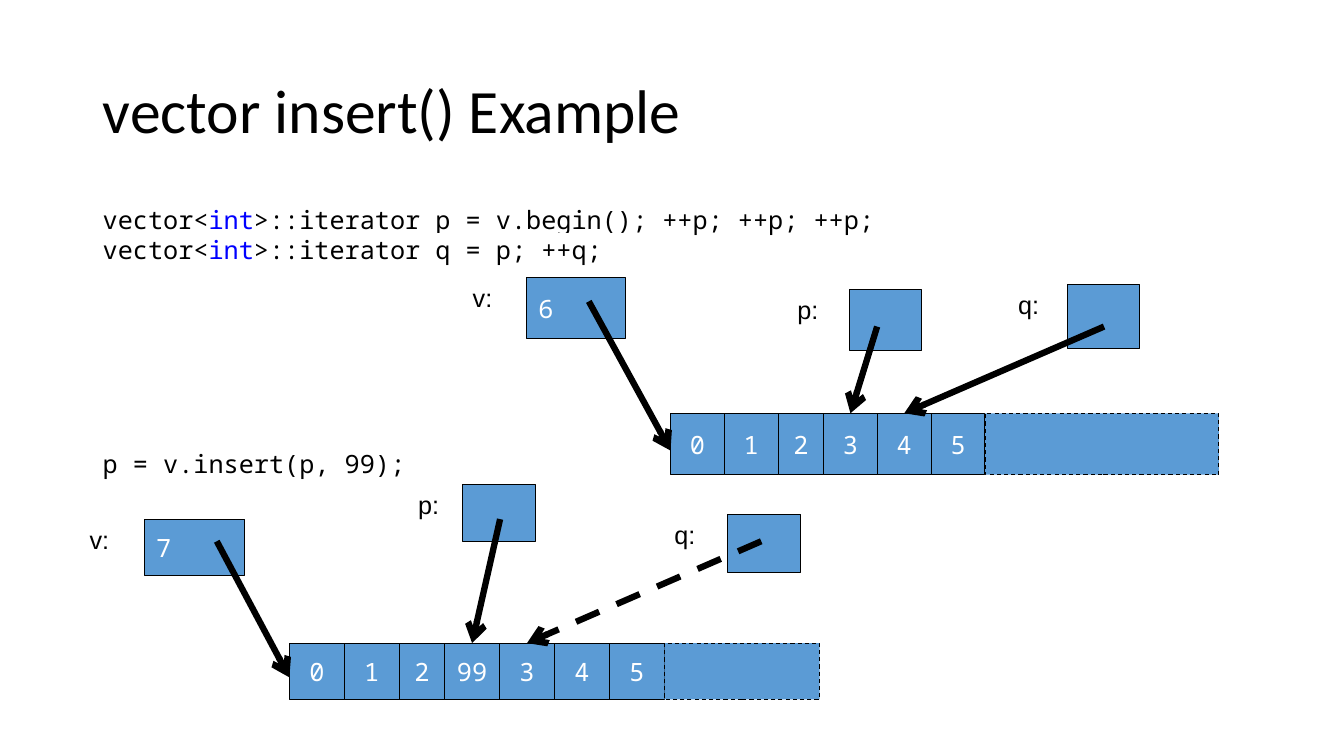
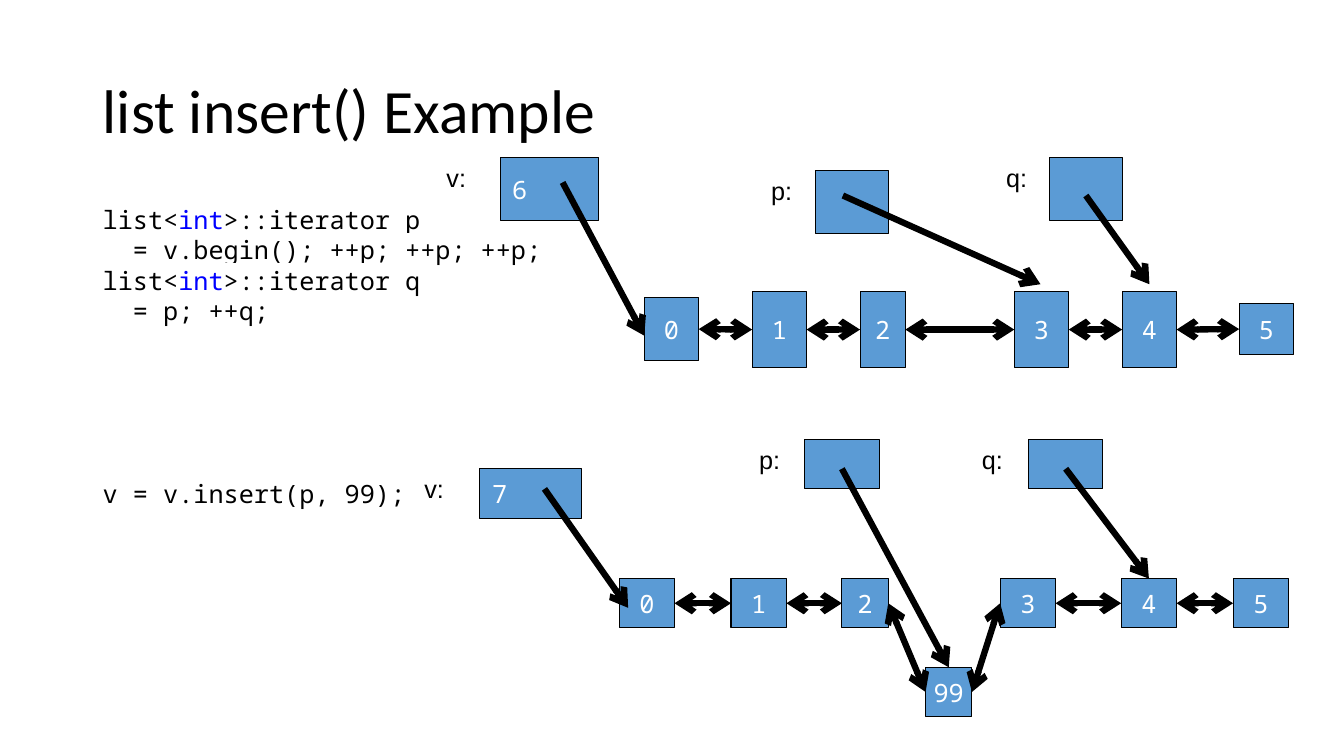
"""Build two slides comparing insert() on a vector and on a list."""
from dataclasses import dataclass

from lxml import etree
from pptx import Presentation
from pptx import util as u
from pptx.dml.color import RGBColor
from pptx.enum import dml, shapes, text
from pptx.oxml import ns

COLORS = {"ink": "000000", "paper": "FFFFFF", "box": "5B9BD5", "keyword": "0000FF"}
TITLE_FONT, CODE_FONT, LABEL_FONT = "Calibri", "Noto Sans Mono", "Arial"
BODY_SIZE = 18
CODE_LINE_HEIGHT = 21.8
NARROW_CELL = 0.45
LABEL_WIDTH, LABEL_HEIGHT = 0.6, 0.6

Point = tuple[float, float]


@dataclass(frozen=True)
class CodeLine:
    text: str
    indent: float = 0
    lines_before: int = 0


@dataclass(frozen=True)
class Cell:
    text: str
    left: float
    top: float
    width: float
    height: float
    dashed: bool = False


@dataclass(frozen=True)
class Variable:
    name: str
    label_left: float
    left: float
    top: float
    width: float
    height: float
    arrow_start: Point
    target: str | Point
    count: str = ""
    dashed: bool = False


@dataclass(frozen=True)
class Diagram:
    cells: list[Cell]
    variables: list[Variable]
    links: tuple[str, ...] = ()


@dataclass(frozen=True)
class Page:
    title: str
    code_width: float
    code_height: float
    code: list[CodeLine]
    diagrams: list[Diagram]


def array_cells(values: list[str], left: float, spare_left: float, top: float,
                height: float, spare_width: float) -> list[Cell]:
    wide = (spare_left - left - NARROW_CELL) / (len(values) - 1)
    cells = []
    for value in values:
        width = NARROW_CELL if value == "2" else wide
        cells.append(Cell(value, left, top, width, height))
        left += width
    return cells + [Cell("", spare_left, top, spare_width, height, True)]


def color(name: str) -> RGBColor:
    return RGBColor.from_string(COLORS[name])


def add_run(paragraph, content: str, font: str, size: float, ink: str = "ink",
            highlight: bool = False) -> None:
    run = paragraph.add_run()
    run.text = content
    run.font.size = u.Pt(size)
    run.font.color.rgb = color(ink)
    if highlight:
        mark = etree.SubElement(run.font._element, ns.qn("a:highlight"))
        etree.SubElement(mark, ns.qn("a:srgbClr"), val=COLORS["paper"])
    run.font.name = font


def add_title(slide, content: str) -> None:
    title = slide.shapes.title
    title.left, title.top = u.Inches(0.92), u.Inches(0.4)
    title.width, title.height = u.Inches(11.5), u.Inches(1.45)
    title.text_frame.vertical_anchor = text.MSO_ANCHOR.MIDDLE
    paragraph = title.text_frame.paragraphs[0]
    paragraph.alignment = text.PP_ALIGN.LEFT
    paragraph.line_spacing = 0.9
    add_run(paragraph, content, TITLE_FONT, 44)


def add_code(slide, page: Page) -> None:
    box = slide.shapes.add_textbox(u.Inches(0.92), u.Inches(1.98),
                                   u.Inches(page.code_width), u.Inches(page.code_height))
    frame = box.text_frame
    frame.word_wrap = False
    for index, line in enumerate(page.code):
        paragraph = frame.add_paragraph() if index else frame.paragraphs[0]
        if line.indent:
            paragraph._p.get_or_add_pPr().set("marL", str(u.Inches(line.indent)))
        if line.lines_before:
            paragraph.space_before = u.Pt(line.lines_before * CODE_LINE_HEIGHT)
        before, keyword, after = line.text.partition("int")
        for content, ink in ((before, "ink"), (keyword, "keyword"), (after, "ink")):
            if content:
                add_run(paragraph, content, CODE_FONT, BODY_SIZE, ink, True)


def add_cell(slide, cell: Cell, left_inset: float = 0):
    shape = slide.shapes.add_shape(
        shapes.MSO_SHAPE.RECTANGLE, u.Inches(cell.left), u.Inches(cell.top),
        u.Inches(cell.width), u.Inches(cell.height))
    shape.shadow.inherit = False
    shape.fill.solid()
    shape.fill.fore_color.rgb = color("box")
    shape.line.color.rgb = color("ink")
    shape.line.width = u.Pt(0.75)
    if cell.dashed:
        shape.line.dash_style = dml.MSO_LINE.DASH
    if cell.text:
        frame = shape.text_frame
        frame.word_wrap = True
        frame.vertical_anchor = text.MSO_ANCHOR.MIDDLE
        frame.margin_left, frame.margin_right = u.Inches(left_inset), 0
        paragraph = frame.paragraphs[0]
        paragraph.alignment = text.PP_ALIGN.LEFT if left_inset else text.PP_ALIGN.CENTER
        add_run(paragraph, cell.text, CODE_FONT, BODY_SIZE, "paper")
    return shape


def add_arrow(slide, start: Point = (0, 0), end: Point = (0, 0),
              both_ends: bool = False, dashed: bool = False):
    arrow = slide.shapes.add_connector(
        shapes.MSO_CONNECTOR.STRAIGHT, *(u.Inches(value) for value in (*start, *end)))
    arrow.line.color.rgb = color("ink")
    arrow.line.width = u.Pt(4.5)
    if dashed:
        arrow.line.dash_style = dml.MSO_LINE.DASH
    line = arrow.line._get_or_add_ln()
    for tag in ("a:headEnd", "a:tailEnd") if both_ends else ("a:tailEnd",):
        etree.SubElement(line, ns.qn(tag), type="arrow")
    etree.SubElement(arrow._element.spPr, ns.qn("a:effectLst"))
    return arrow


def add_variable(slide, variable: Variable, cells: dict) -> None:
    add_cell(slide, Cell(variable.count, variable.left, variable.top,
                         variable.width, variable.height), 0.12)
    label = slide.shapes.add_textbox(u.Inches(variable.label_left), u.Inches(variable.top),
                                     u.Inches(LABEL_WIDTH), u.Inches(LABEL_HEIGHT))
    label.text_frame.word_wrap = True
    add_run(label.text_frame.paragraphs[0], f"{variable.name}:", LABEL_FONT, BODY_SIZE)
    if isinstance(variable.target, str):
        arrow = add_arrow(slide, variable.arrow_start, dashed=variable.dashed)
        arrow.end_connect(cells[variable.target], 0)
    else:
        add_arrow(slide, variable.arrow_start, variable.target, dashed=variable.dashed)


def add_diagram(slide, diagram: Diagram) -> None:
    cells = {cell.text: add_cell(slide, cell) for cell in diagram.cells}
    for first, second in zip(diagram.links, diagram.links[1:]):
        link = add_arrow(slide, both_ends=True)
        link.begin_connect(cells[first], 3)
        link.end_connect(cells[second], 1)
    for variable in diagram.variables:
        add_variable(slide, variable, cells)


VECTOR_PAGE = Page(
    "vector insert() Example", 7.89, 2.83,
    [CodeLine("vector<int>::iterator p = v.begin(); ++p; ++p; ++p;"),
     CodeLine("vector<int>::iterator q = p; ++q;"),
     CodeLine("p = v.insert(p, 99);", lines_before=6)],
    [Diagram(
        array_cells(["0", "1", "2", "3", "4", "5"], 6.65, 9.77, 4.1, 0.61, 2.32),
        [Variable("v", 4.59, 5.22, 2.75, 0.98, 0.61, (5.84, 2.99), (6.65, 4.47), "6"),
         Variable("p", 7.81, 8.43, 2.87, 0.71, 0.61, (8.7, 3.24), "3"),
         Variable("q", 10, 10.59, 2.82, 0.71, 0.64, (10.95, 3.24), "4")]),
     Diagram(
        array_cells(["0", "1", "2", "99", "3", "4", "5"], 2.87, 6.59, 6.38, 0.56, 1.54),
        [Variable("v", 0.79, 1.43, 5.15, 1, 0.56, (2.15, 5.37), (2.87, 6.72), "7"),
         Variable("p", 4.05, 4.59, 4.81, 0.72, 0.56, (4.96, 5.15), "99"),
         Variable("q", 6.59, 7.22, 5.1, 0.72, 0.58, (7.55, 5.37), "3", dashed=True)])])

LIST_PAGE = Page(
    "list insert() Example", 4.57, 3.13,
    [CodeLine("list<int>::iterator p"),
     CodeLine("= v.begin(); ++p; ++p; ++p;", indent=0.3),
     CodeLine("list<int>::iterator q"),
     CodeLine("= p; ++q;", indent=0.3),
     CodeLine("v = v.insert(p, 99);", lines_before=5)],
    [Diagram(
        [Cell("0", 6.39, 2.95, 0.54, 0.63),
         Cell("1", 7.46, 2.89, 0.54, 0.76),
         Cell("2", 8.53, 2.89, 0.45, 0.76),
         Cell("3", 10.06, 2.89, 0.54, 0.76),
         Cell("4", 11.13, 2.89, 0.54, 0.76),
         Cell("5", 12.29, 3.01, 0.54, 0.51)],
        [Variable("v", 4.33, 4.96, 1.56, 0.98, 0.63, (5.58, 1.81), (6.39, 3.33), "6"),
         Variable("p", 7.55, 8.09, 1.69, 0.72, 0.63, (8.36, 1.94), (10.32, 2.82)),
         Variable("q", 9.88, 10.41, 1.56, 0.72, 0.63, (10.77, 1.94), (11.4, 2.82))],
        ("0", "1", "2", "3", "4", "5")),
     Diagram(
        [Cell("0", 6.14, 5.74, 0.55, 0.49),
         Cell("1", 7.25, 5.74, 0.55, 0.49),
         Cell("2", 8.35, 5.74, 0.46, 0.49),
         Cell("99", 9.18, 6.62, 0.46, 0.49),
         Cell("3", 9.92, 5.74, 0.55, 0.49),
         Cell("4", 11.12, 5.74, 0.55, 0.49),
         Cell("5", 12.23, 5.74, 0.55, 0.49)],
        [Variable("v", 4.11, 4.76, 4.65, 1.01, 0.49, (5.4, 4.85), (6.23, 6.03), "7"),
         Variable("p", 7.43, 7.98, 4.36, 0.74, 0.49, (8.35, 4.65), "99"),
         Variable("q", 9.64, 10.2, 4.36, 0.74, 0.49, (10.57, 4.65), "4")],
        ("0", "1", "2", "99", "3", "4", "5"))])


def main() -> None:
    presentation = Presentation()
    presentation.slide_width = u.Inches(13.33)
    presentation.slide_height = u.Inches(7.5)
    for page in (VECTOR_PAGE, LIST_PAGE):
        slide = presentation.slides.add_slide(presentation.slide_layouts[5])
        add_title(slide, page.title)
        add_code(slide, page)
        for diagram in page.diagrams:
            add_diagram(slide, diagram)
    presentation.save("out.pptx")


if __name__ == "__main__":
    main()
